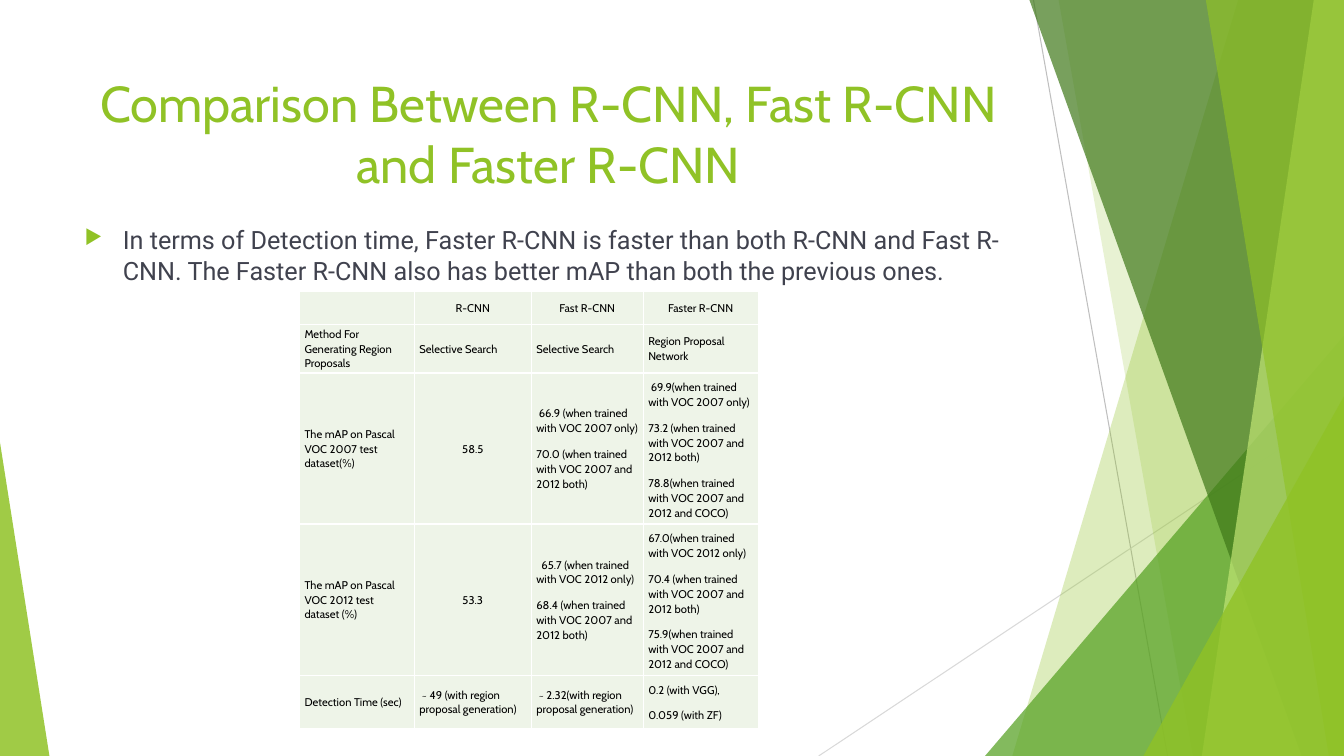
from dataclasses import dataclass

from lxml.etree import SubElement
from pptx import Presentation
from pptx.dml.color import RGBColor
from pptx.enum.shapes import MSO_CONNECTOR, MSO_SHAPE
from pptx.enum.text import MSO_ANCHOR, PP_ALIGN
from pptx.oxml.ns import qn
from pptx.util import Inches, Pt


@dataclass(frozen=True)
class Theme:
    lime: str = "90C226"
    pale_lime: str = "C0E474"
    green: str = "54A021"
    dark_green: str = "3F7819"
    line_dark: str = "BFBFBF"
    line_light: str = "D9D9D9"
    body_text: str = "40424E"
    cell_text: str = "000000"
    cell_fill: str = "EEF4E8"
    border: str = "FFFFFF"
    heading_font: str = "Cabin"
    body_font: str = "Roboto"
    title_size: int = 36
    body_size: int = 18
    cell_size: int = 8


THEME = Theme()
WIDTH, HEIGHT = 13.33, 7.5

TABLE_ROWS = [
    ["", "R-CNN", "Fast R-CNN", "Faster R-CNN"],
    ["Method For Generating Region Proposals", "Selective Search",
     "Selective Search", "Region Proposal Network"],
    ["The mAP on Pascal VOC 2007 test dataset(%)", "58.5",
     " 66.9 (when trained with VOC 2007 only)\n"
     "70.0 (when trained with VOC 2007 and 2012 both)",
     " 69.9(when trained with VOC 2007 only)\n"
     "73.2 (when trained with VOC 2007 and 2012 both)\n"
     "78.8(when trained with VOC 2007 and 2012 and COCO)"],
    ["The mAP on Pascal VOC 2012 test dataset (%)", "53.3",
     "  65.7 (when trained with VOC 2012 only)\n"
     "68.4 (when trained with VOC 2007 and 2012 both)",
     "67.0(when trained with VOC 2012 only)\n"
     "70.4 (when trained with VOC 2007 and 2012 both)\n"
     "75.9(when trained with VOC 2007 and 2012 and COCO)"],
    ["Detection Time (sec)", " ~ 49 (with region proposal generation)",
     " ~ 2.32(with region proposal generation)",
     "0.2 (with VGG),\n0.059 (with ZF)"],
]
COLUMN_WIDTHS = [1.14, 1.16, 1.11, 1.14]
ROW_HEIGHTS = [0.33, 0.48, 1.46, 1.46, 0.51]


def style_font(font, name, size, color):
    font.name = name
    font.size = Pt(size)
    font.color.rgb = RGBColor.from_string(color)


def paint(shape, color, opacity):
    shape.shadow.inherit = False
    shape.line.fill.background()
    shape.fill.solid()
    shape.fill.fore_color.rgb = RGBColor.from_string(color)
    color_element = shape.fill._xPr.find(qn("a:solidFill"))[0]
    SubElement(color_element, qn("a:alpha"), val=str(opacity * 1000))


def add_thin_line(slide, start, end, color):
    line = slide.shapes.add_connector(
        MSO_CONNECTOR.STRAIGHT, *map(Inches, (*start, *end)))
    line.line.color.rgb = RGBColor.from_string(color)
    line.line.width = Pt(0.75)
    SubElement(line._element.spPr, qn("a:effectLst"))


def add_band(slide, box, top_x, bottom_x, color, opacity):
    """Slanted band from its left edge to the right side of the box."""
    left, top, width, height = box
    right, bottom = left + width, top + height
    corners = [(right, top), (right, bottom), (bottom_x, bottom)]
    builder = slide.shapes.build_freeform(Inches(top_x), Inches(top))
    builder.add_line_segments([(Inches(x), Inches(y)) for x, y in corners])
    paint(builder.convert_to_shape(), color, opacity)


def add_corner(slide, box, width, height, apex, color, opacity):
    """Triangle in a bottom corner of the box; apex 0 is left, 1 is right."""
    left = box[0] + apex * (box[2] - width)
    top = box[1] + box[3] - height
    triangle = slide.shapes.add_shape(
        MSO_SHAPE.ISOSCELES_TRIANGLE, *map(Inches, (left, top, width, height)))
    triangle.adjustments[0] = apex
    paint(triangle, color, opacity)


def add_decoration(slide, box):
    left, top, width, height = box
    right, bottom = left + width, top + height
    add_thin_line(slide, (10.25, top), (11.58, bottom), THEME.line_dark)
    add_thin_line(slide, (right, 4.03), (8.12, bottom), THEME.line_light)
    add_band(slide, box, 12.28, 10.04, THEME.lime, 30)
    add_band(slide, box, 10.5, 11.83, THEME.lime, 20)
    add_corner(slide, box, 3.56, 4.17, 1, THEME.green, 72)
    add_band(slide, box, 10.21, 12.91, THEME.dark_green, 70)
    add_band(slide, box, 13.03, 11.92, THEME.pale_lime, 70)
    add_band(slide, box, 11.96, 13.18, THEME.lime, 65)
    add_corner(slide, box, 1.99, 3.57, 1, THEME.lime, 80)
    add_corner(slide, box, 0.49, 3.11, 0, THEME.lime, 85)


def add_text(slide, box, text):
    text_frame = slide.shapes.add_textbox(*map(Inches, box)).text_frame
    text_frame.word_wrap = True
    text_frame.text = text
    return text_frame.paragraphs[0]


def add_title(slide, box):
    paragraph = add_text(
        slide, box, "Comparison Between R-CNN, Fast R-CNN and Faster R-CNN")
    paragraph.alignment = PP_ALIGN.CENTER
    style_font(paragraph.runs[0].font, THEME.heading_font, THEME.title_size, THEME.lime)


def add_body(slide, box):
    paragraph = add_text(
        slide, box,
        "In terms of Detection time, Faster R-CNN is faster than both R-CNN and "
        "Fast R-CNN. The Faster R-CNN also has better mAP than both the previous ones.")
    properties = paragraph._p.get_or_add_pPr()
    properties.set("marL", str(Inches(0.38)))
    properties.set("indent", str(Inches(-0.38)))
    bullet_color = SubElement(properties, qn("a:buClr"))
    SubElement(bullet_color, qn("a:srgbClr"), val=THEME.lime)
    SubElement(properties, qn("a:buSzPct"), val="80000")
    SubElement(properties, qn("a:buChar"), char="▶")
    style_font(paragraph.runs[0].font, THEME.body_font, THEME.body_size, THEME.body_text)


def add_borders(cell):
    properties = cell._tc.get_or_add_tcPr()
    for side in ("lnL", "lnR", "lnT", "lnB"):
        border = SubElement(properties, qn(f"a:{side}"), w=str(Pt(1)))
        fill = SubElement(border, qn("a:solidFill"))
        SubElement(fill, qn("a:srgbClr"), val=THEME.border)


def fill_cell(cell, text, centered, vertical_margin):
    add_borders(cell)
    cell.fill.solid()
    cell.fill.fore_color.rgb = RGBColor.from_string(THEME.cell_fill)
    cell.vertical_anchor = MSO_ANCHOR.MIDDLE
    cell.margin_left = cell.margin_right = Inches(0.05)
    cell.margin_top = cell.margin_bottom = Inches(vertical_margin)
    cell.text_frame.text = text
    for paragraph in cell.text_frame.paragraphs:
        paragraph.alignment = PP_ALIGN.CENTER if centered else PP_ALIGN.LEFT
        paragraph.line_spacing = 1.07
        paragraph.space_after = Pt(8)
        for run in paragraph.runs:
            style_font(run.font, THEME.heading_font, THEME.cell_size, THEME.cell_text)
        if not text:
            SubElement(paragraph._p, qn("a:endParaRPr"), sz=str(THEME.cell_size * 100))


def add_comparison_table(slide, box):
    table = slide.shapes.add_table(
        len(ROW_HEIGHTS), len(COLUMN_WIDTHS), *map(Inches, box)).table
    table.first_row = table.horz_banding = False
    for column, width in zip(table.columns, COLUMN_WIDTHS):
        column.width = Inches(width)
    for row_index, texts in enumerate(TABLE_ROWS):
        table.rows[row_index].height = Inches(ROW_HEIGHTS[row_index])
        for column_index, text in enumerate(texts):
            centered = row_index == 0 or (column_index == 1 and row_index in (2, 3))
            if column_index == 0:
                margin = 0.02
            else:
                margin = 0.05 if row_index == 0 else 0.07
            fill_cell(table.cell(row_index, column_index), text, centered, margin)


def main():
    presentation = Presentation()
    presentation.slide_width = Inches(WIDTH)
    presentation.slide_height = Inches(HEIGHT)
    slide = presentation.slides.add_slide(presentation.slide_layouts[6])
    add_decoration(slide, (0, 0, WIDTH, HEIGHT))
    add_title(slide, (0.74, 0.67, 9.4, 1.33))
    add_body(slide, (0.74, 2.18, 9.4, 0.71))
    add_comparison_table(slide, (2.97, 2.89, sum(COLUMN_WIDTHS), sum(ROW_HEIGHTS)))
    presentation.save("out.pptx")


if __name__ == "__main__":
    main()
